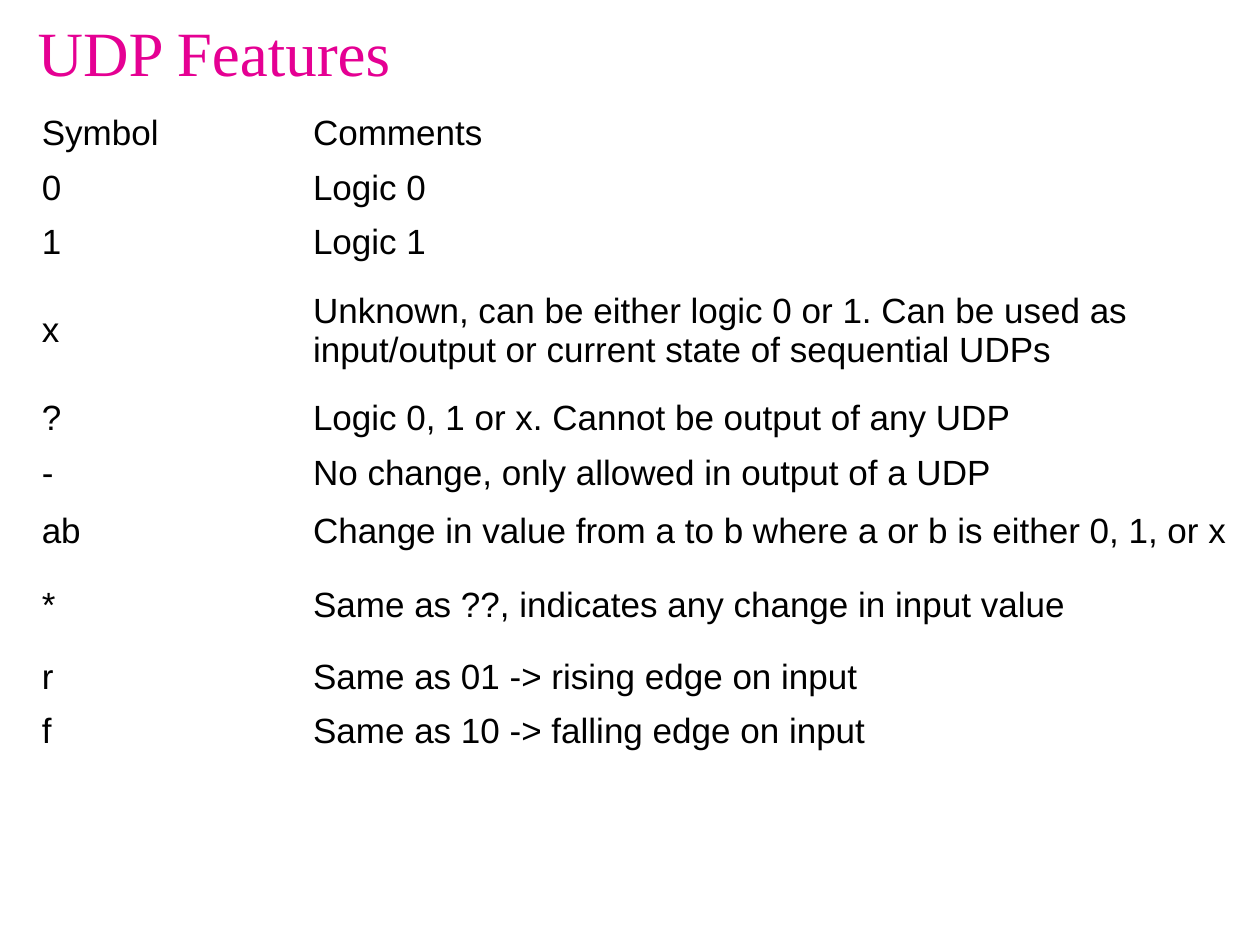
from pptx import Presentation
from pptx import util as u
from pptx.dml.color import RGBColor
from pptx.enum import text

PLAIN_STYLE = "{2D5ABB26-0587-4C30-8999-92F81FD0307C}"  # no fill, no grid
COLUMN_WIDTHS = (155, 536.5)

# Row height, symbol, comment; the last two rows are empty
ROWS = [
    (29.5, "Symbol", "Comments"),
    (30.5, "0", "Logic 0"),
    (31.5, "1", "Logic 1"),
    (69, "x", "Unknown, can be either logic 0 or 1. Can be used as "
              "input/output or current state of sequential UDPs"),
    (30.5, "?", "Logic 0, 1 or x. Cannot be output of any UDP"),
    (31.5, "-", "No change, only allowed in output of a UDP"),
    (34.5, "ab", "Change in value from a to b where a or b is either 0, 1, or x"),
    (50.5, "*", "Same as ??, indicates any change in input value"),
    (29.5, "r", "Same as 01 -> rising edge on input"),
    (30.5, "f", "Same as 10 -> falling edge on input"),
    (29.5, "", ""),
    (50.5, "", ""),
]


def color(value):
    return RGBColor.from_string(value)


def write(frame, words, font, size, ink):
    para = frame.paragraphs[0]
    para.text = words
    para.alignment = text.PP_ALIGN.LEFT
    para.font.name = font
    para.font.size = u.Pt(size)
    para.font.color.rgb = color(ink)


def add_title(page, words):
    box = page.shapes.add_textbox(u.Pt(14.4), u.Pt(3.6), u.Pt(612), u.Pt(51))
    frame = box.text_frame
    frame.word_wrap = True
    frame.vertical_anchor = text.MSO_ANCHOR.MIDDLE
    write(frame, words, "Times New Roman", 36, "E50093")


def fill_cell(cell, words):
    cell.fill.background()
    cell.vertical_anchor = text.MSO_ANCHOR.MIDDLE
    cell.margin_left = cell.margin_right = u.Pt(4.5)
    cell.margin_top = cell.margin_bottom = u.Pt(3.6)
    write(cell.text_frame, words, "Arial", 20, "000000")


def add_symbol_table(page):
    height = sum(row[0] for row in ROWS)
    holder = page.shapes.add_table(
        len(ROWS), len(COLUMN_WIDTHS), u.Pt(19.4), u.Pt(60.5),
        u.Pt(sum(COLUMN_WIDTHS)), u.Pt(height))
    table = holder.table
    table.first_row = table.horz_banding = False
    table._tbl.tblPr[0].text = PLAIN_STYLE

    for column, width in zip(table.columns, COLUMN_WIDTHS):
        column.width = u.Pt(width)
    for row, (row_height, *entries) in zip(table.rows, ROWS):
        row.height = u.Pt(row_height)
        for cell, words in zip(row.cells, entries):
            fill_cell(cell, words)


def main():
    deck = Presentation()
    deck.slide_width, deck.slide_height = u.Pt(720), u.Pt(540)
    page = deck.slides.add_slide(deck.slide_layouts[6])

    # Heading
    add_title(page, "UDP Features")
    # Symbols and their meanings
    add_symbol_table(page)

    deck.save("out.pptx")


if __name__ == "__main__":
    main()
